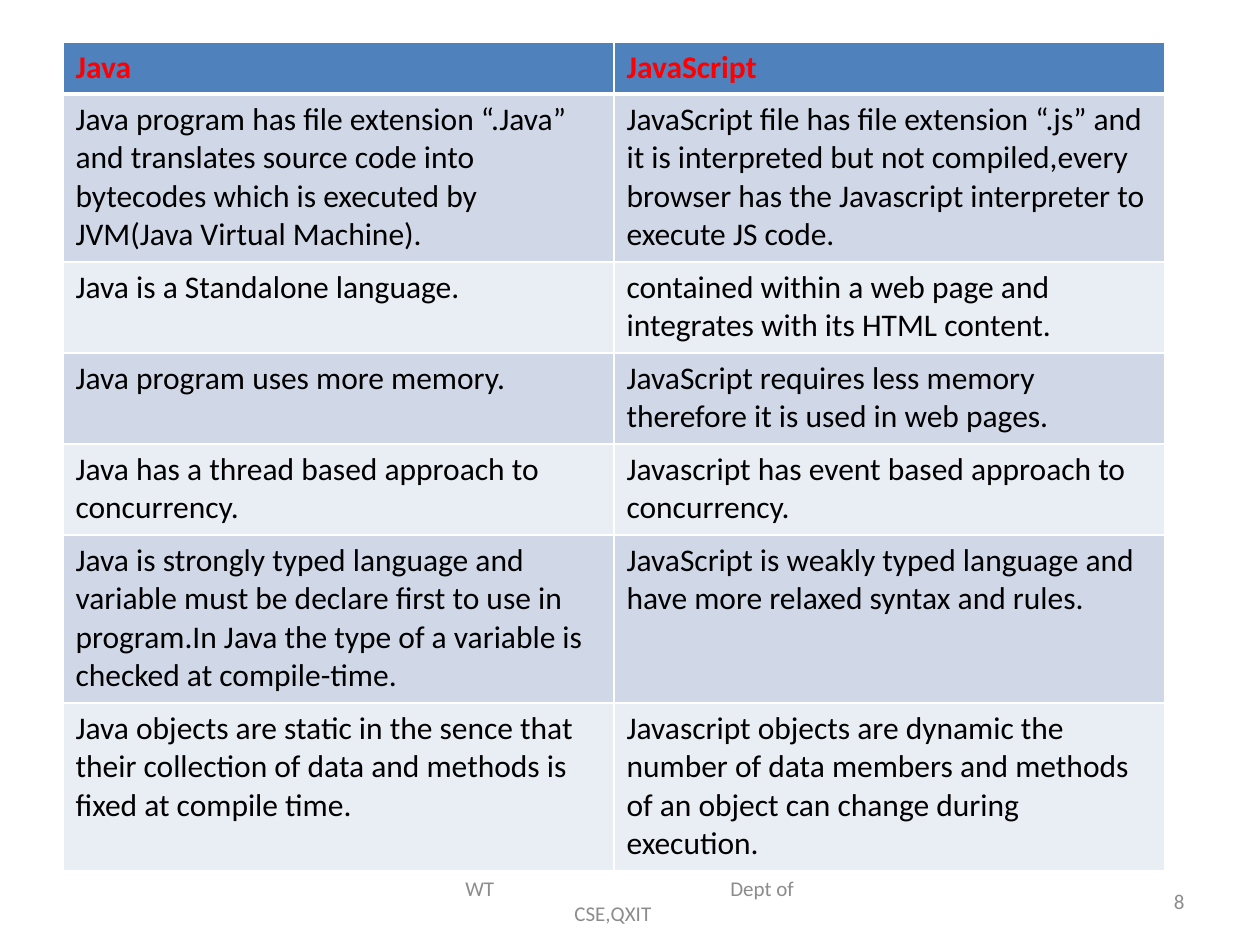
from lxml.etree import SubElement
from pptx import Presentation
from pptx.dml.color import RGBColor
from pptx.enum.text import MSO_ANCHOR, PP_ALIGN
from pptx.oxml import parse_xml
from pptx.oxml.ns import nsdecls, qn
from pptx.util import Emu, Pt

PIXEL = 914400 // 126
FONT = "Calibri"
COLORS = {
    "header": "4F81BD",
    "band_dark": "D0D8E8",
    "band_light": "E9EDF4",
    "border": "FFFFFF",
    "heading": "FF0000",
    "body": "000000",
    "footer": "8C8C8C",
}
COMPARISON = [
    ("Java", "JavaScript"),
    ("Java program has file extension “.Java” and translates source code into "
     "bytecodes which is executed by JVM(Java Virtual Machine).",
     "JavaScript file has file extension “.js” and it is interpreted but not "
     "compiled,every browser has the Javascript interpreter to execute JS code."),
    ("Java is a Standalone language.",
     "contained within a web page and integrates with its HTML content."),
    ("Java program uses more memory.",
     "JavaScript requires less memory therefore it is used in web pages."),
    ("Java has a thread based approach to concurrency.",
     "Javascript has event based approach to concurrency."),
    ("Java is strongly typed language and variable must be declare first to use in "
     "program.In Java the type of a variable is checked at compile-time.",
     "JavaScript is weakly typed language and have more relaxed syntax and rules."),
    ("Java objects are static in the sence that their collection of data and methods "
     "is fixed at compile time.",
     "Javascript objects are dynamic the number of data members and methods of an "
     "object can change during execution."),
]
ROW_HEIGHTS = [52, 168, 91, 91, 91, 168, 168]
COLUMN_WIDTH = 551


def px(count):
    """Turn picture pixels into EMU."""
    return Emu(count * PIXEL)


def color(name):
    """Look up a named colour."""
    return RGBColor.from_string(COLORS[name])


def style(para, size, color_name, bold=False):
    """Set the font of a whole paragraph."""
    font = para.font
    font.name, font.size, font.bold = FONT, Pt(size), bold
    font.color.rgb = color(color_name)


def set_borders(cell, top, bottom):
    """Draw the four cell edges; top and bottom widths are in points."""
    properties = cell._tc.get_or_add_tcPr()
    for side, width in (("L", 1), ("R", 1), ("T", top), ("B", bottom)):
        properties.append(parse_xml(
            f'<a:ln{side} {nsdecls("a")} w="{Pt(width)}"><a:solidFill>'
            f'<a:srgbClr val="{COLORS["border"]}"/></a:solidFill></a:ln{side}>'))


def fill_cell(cell, text, row):
    """Write and format one cell according to its row."""
    heading = row == 0
    set_borders(cell, 3 if row == 1 else 1, 3 if heading else 1)
    band = "band_dark" if row % 2 else "band_light"
    cell.fill.solid()
    cell.fill.fore_color.rgb = color("header" if heading else band)
    cell.text = text
    style(cell.text_frame.paragraphs[0], 18, "heading" if heading else "body", heading)


def add_comparison(page):
    """Add the two-column comparison table."""
    table = page.shapes.add_table(
        len(COMPARISON), 2, px(63), px(42), px(2 * COLUMN_WIDTH), px(sum(ROW_HEIGHTS))).table
    table.first_row = table.horz_banding = False
    for column in table.columns:
        column.width = px(COLUMN_WIDTH)
    for row, texts in enumerate(COMPARISON):
        table.rows[row].height = px(ROW_HEIGHTS[row])
        for column, text in enumerate(texts):
            fill_cell(table.cell(row, column), text, row)


def add_tab_stops(para, stops):
    """Give a paragraph left tab stops, in pixels."""
    tabs = SubElement(para._p.get_or_add_pPr(), qn("a:tabLst"))
    for stop in stops:
        SubElement(tabs, qn("a:tab"), pos=str(px(stop)), algn="l")


def add_footer(page, left, width, lines, align):
    """Add a footer box; each line is a text and its tab stops."""
    box = page.shapes.add_textbox(px(left), px(876), px(width), px(50))
    frame = box.text_frame
    frame.word_wrap = True
    frame.vertical_anchor = MSO_ANCHOR.MIDDLE
    frame.text = "\n".join(text for text, _ in lines)
    for para, (_, stops) in zip(frame.paragraphs, lines):
        para.alignment = align
        if stops:
            add_tab_stops(para, stops)
        style(para, 12, "footer")


def main():
    """Build the slide and save it."""
    deck = Presentation()
    deck.slide_width, deck.slide_height = px(1260), px(945)
    page = deck.slides.add_slide(deck.slide_layouts[6])
    add_comparison(page)
    course = [("\tWT\tDept of", (22, 287)), ("\tCSE,QXIT", (131,))]
    add_footer(page, 431, 399, course, PP_ALIGN.LEFT)
    add_footer(page, 903, 294, [("8", ())], PP_ALIGN.RIGHT)
    deck.save("out.pptx")


main()
